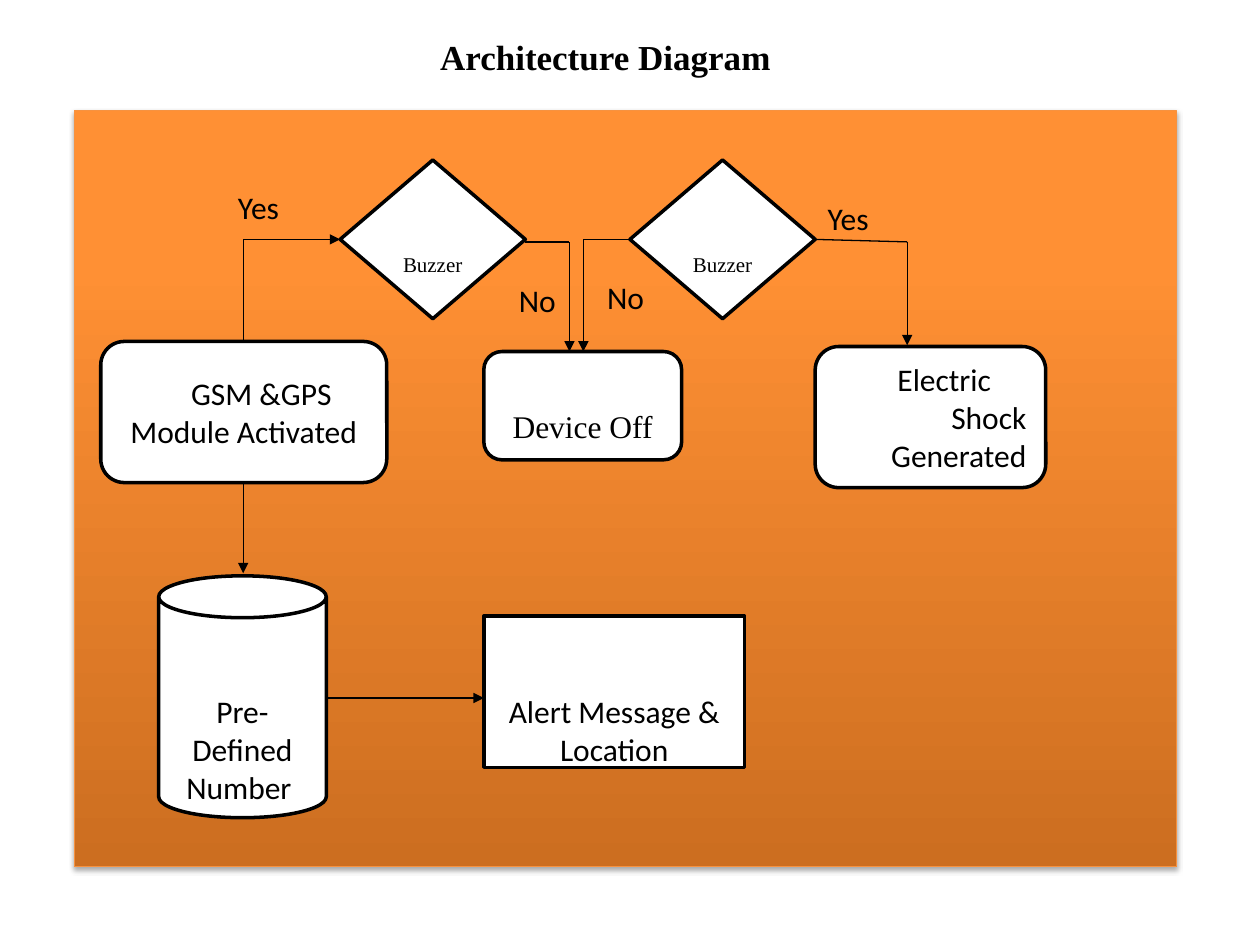
from copy import deepcopy
from itertools import pairwise

from lxml import etree
from pptx import Presentation
from pptx.dml.color import RGBColor
from pptx.enum.shapes import MSO_CONNECTOR, MSO_SHAPE
from pptx.enum.text import MSO_ANCHOR, PP_ALIGN
from pptx.oxml.ns import qn
from pptx.util import Inches, Pt

RECT, ROUND = MSO_SHAPE.RECTANGLE, MSO_SHAPE.ROUNDED_RECTANGLE
GEM, CAN = MSO_SHAPE.DIAMOND, MSO_SHAPE.CAN
LEFT, MID, RIGHT = PP_ALIGN.LEFT, PP_ALIGN.CENTER, PP_ALIGN.RIGHT
CORE, LOW = MSO_ANCHOR.MIDDLE, MSO_ANCHOR.BOTTOM
BLACK = RGBColor(0x00, 0x00, 0x00)
WHITE = RGBColor(0xFF, 0xFF, 0xFF)
EDGE = RGBColor(0xF6, 0x92, 0x40)
# Gradient stops, from the foot of the panel upwards
BLEND = [(0, RGBColor(0xCC, 0x6E, 0x20)), (0.8, RGBColor(0xFF, 0x90, 0x34)),
         (1, RGBColor(0xFF, 0x91, 0x36))]
SANS, SERIF = "Calibri", "Times New Roman"
COLS, ROWS = 100, 75


class Chart:
    """Draws on one slide; lengths are columns and rows of a 100 x 75 grid."""

    def __init__(self, deck):
        self.slide = deck.slides.add_slide(deck.slide_layouts[5])
        self.shapes = self.slide.shapes
        self.col = deck.slide_width / COLS
        self.row = deck.slide_height / ROWS
        self.font = {"name": SANS, "size": Pt(18), "bold": False}

    def scale(self, x, y):
        return round(x * self.col), round(y * self.row)

    def letter(self, frame, lines, form=None, **look):
        """Each line is (text, alignment, first-line indent in inches)."""
        for name, value in (form or {}).items():
            setattr(frame, name, value)
        frame.word_wrap = True
        for i, (text, align, indent) in enumerate(lines):
            para = frame.paragraphs[0] if i == 0 else frame.add_paragraph()
            para.text = text
            para.alignment = align
            if indent:
                props = para._p.get_or_add_pPr()
                props.set("marL", "0")
                props.set("indent", str(Inches(indent)))
            for name, value in (self.font | look).items():
                setattr(para.font, name, value)
            para.font.color.rgb = BLACK

    def title(self, text, box):
        head = self.shapes.title
        head.left, head.top = self.scale(*box[:2])
        head.width, head.height = self.scale(*box[2:])
        self.letter(head.text_frame, [(text, MID, 0)],
                    {"vertical_anchor": CORE}, name=SERIF, size=Pt(20), bold=True)

    def panel(self, box):
        shape = self.shapes.add_shape(RECT, *self.scale(*box[:2]), *self.scale(*box[2:]))
        shape.line.color.rgb, shape.line.width = EDGE, Pt(0.75)
        fill = shape.fill
        fill.gradient()
        fill.gradient_angle = 90
        stops = shape._element.spPr.find(qn("a:gradFill")).find(qn("a:gsLst"))
        stops.append(deepcopy(stops[-1]))
        for stop, (place, color) in zip(fill.gradient_stops, BLEND):
            stop.position, stop.color.rgb = place, color
        # Soft shadow below the panel
        shape.shadow.inherit = False
        glow = etree.SubElement(
            shape._element.spPr.find(qn("a:effectLst")), qn("a:outerShdw"),
            blurRad=str(Pt(3.1)), dist=str(Pt(1.8)), dir="5400000", rotWithShape="0")
        tint = etree.SubElement(glow, qn("a:srgbClr"), val="000000")
        etree.SubElement(tint, qn("a:alpha"), val="35000")

    def node(self, kind, box, lines, foot=None, **look):
        """With a foot inset, in inches, the text sits at the bottom."""
        shape = self.shapes.add_shape(kind, *self.scale(*box[:2]), *self.scale(*box[2:]))
        shape.shadow.inherit = False
        shape.fill.solid()
        shape.fill.fore_color.rgb = WHITE
        shape.line.color.rgb, shape.line.width = BLACK, Pt(2)
        form = {"vertical_anchor": CORE}
        if foot is not None:
            form = {"vertical_anchor": LOW, "margin_bottom": Inches(foot)}
        self.letter(shape.text_frame, lines, form, **look)

    def flow(self, *points):
        """A run of straight lines with an arrowhead at the last point."""
        for start, end in pairwise(points):
            line = self.shapes.add_connector(
                MSO_CONNECTOR.STRAIGHT, *self.scale(*start), *self.scale(*end))
            line.line.color.rgb, line.line.width = BLACK, Pt(0.75)
            etree.SubElement(line._element.spPr, qn("a:effectLst"))
        stroke = line._element.spPr.find(qn("a:ln"))
        etree.SubElement(stroke, qn("a:tailEnd"), type="triangle")

    def label(self, text, x, y, wide):
        box = self.shapes.add_textbox(*self.scale(x, y), *self.scale(wide, 4))
        self.letter(box.text_frame, [(text, LEFT, 0)])


def main():
    deck = Presentation()
    deck.slide_width, deck.slide_height = Inches(10), Inches(7.5)
    art = Chart(deck)

    # Title and backdrop
    art.title("Architecture Diagram ", (3.4, 3.1, 90, 2.7))
    art.panel((5.9, 8.8, 87.5, 60))

    # Flow lines
    art.flow((19.3, 27.1), (19.3, 19), (27, 19))
    art.flow((41.7, 19.2), (45.2, 19.2), (45.2, 27.9))
    art.flow((50, 19), (46.3, 19), (46.3, 27.9))
    art.flow((64.7, 19), (72, 19.2), (72, 27.4))
    art.flow((19.3, 38.4), (19.3, 45.5))
    art.flow((26, 55.4), (38.4, 55.4))

    # Decisions
    for x in (27, 50):
        art.node(GEM, (x, 12.7, 14.7, 12.6), [("Buzzer", MID, 0)], 0.02,
                 name=SERIF, size=Pt(12))

    # Steps
    art.node(ROUND, (8, 27.1, 22.7, 11.2),
             [("GSM &GPS\vModule Activated", MID, 0.28)])
    art.node(ROUND, (38.4, 27.9, 15.7, 8.6), [("Device Off", MID, 0)], 0.08, name=SERIF)
    art.node(ROUND, (64.7, 27.5, 18.3, 11.2),
             [("Electric", LEFT, 0.5), ("Shock Generated", RIGHT, 0)])
    art.node(CAN, (12.6, 45.7, 13.3, 19.2), [("Pre-Defined Number ", MID, 0)], -0.07)
    art.node(RECT, (38.4, 48.9, 20.7, 12), [("Alert Message & Location", MID, 0)], 0)

    # Branch labels
    for text, x, y, wide in (("Yes", 17.9, 14.4, 10.1), ("Yes", 64.7, 15.3, 10.1),
                             ("No", 40.2, 21.8, 6.5), ("No", 47.2, 21.6, 6.5)):
        art.label(text, x, y, wide)

    deck.save("out.pptx")


if __name__ == "__main__":
    main()
